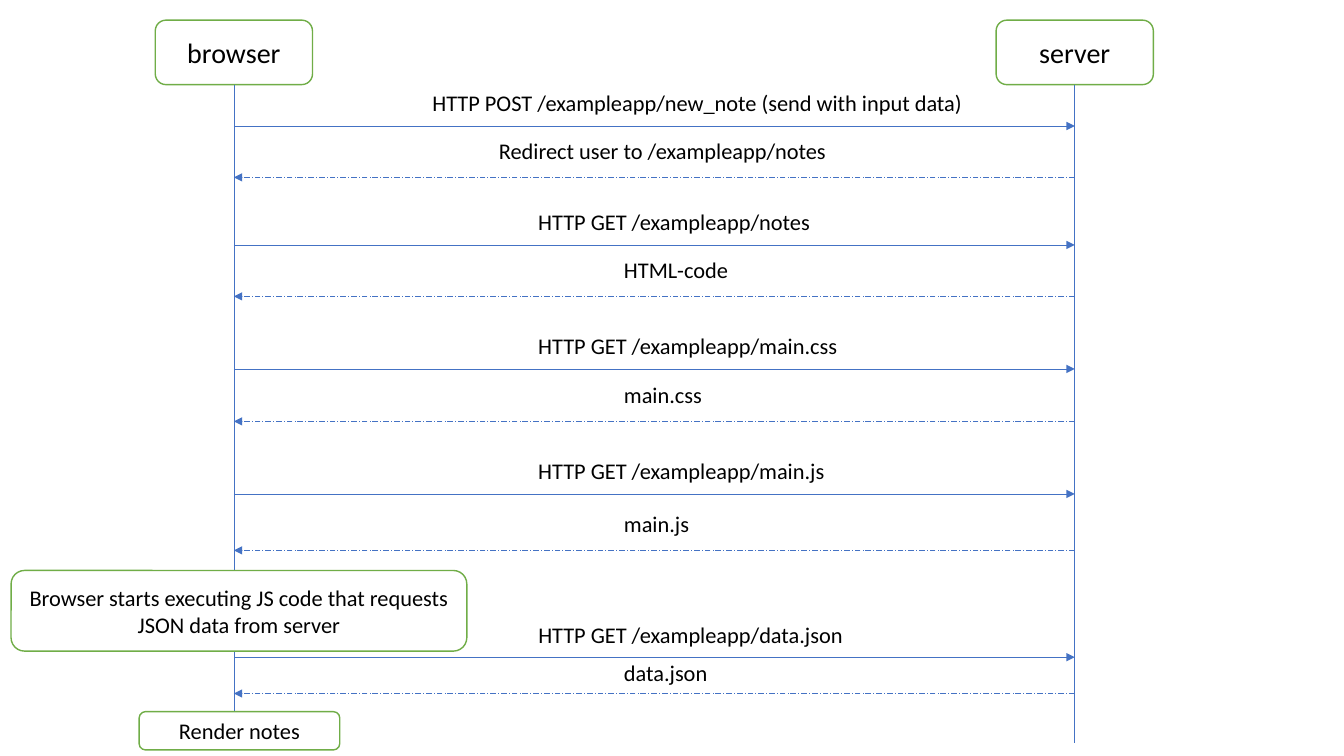
from collections import namedtuple

from lxml.etree import SubElement
from pptx import Presentation
from pptx.dml.color import RGBColor
from pptx.enum.dml import MSO_LINE
from pptx.enum.shapes import MSO_CONNECTOR, MSO_SHAPE
from pptx.enum.text import MSO_ANCHOR, MSO_AUTO_SIZE, PP_ALIGN
from pptx.oxml.ns import qn
from pptx.util import Inches, Pt

COLORS = {"box": "FFFFFF", "border": "70AD47", "line": "4472C4", "text": "000000"}
FONT = "Calibri"
CELLS_PER_INCH = 10
LABEL_HEIGHT = 3.7
REQUEST_RISE = 4.1
REPLY_RISE = 4.5

Box = namedtuple("Box", "left top width height")
Label = namedtuple("Label", "text indent width rise")

BROWSER = Box(15.4, 2, 15.6, 6.4)
SERVER = Box(98.8, 2, 15.6, 6.4)
SCRIPT_START = Box(1.1, 56.6, 45.2, 8)
RENDERING = Box(13.8, 70.6, 19.9, 3.8)
SERVER_END = 73.7

EXCHANGES = [
    (12.5, 5.1,
     Label("HTTP POST /exampleapp/new_note (send with input data)", 18.7, 55.2, REQUEST_RISE),
     Label("Redirect user to /exampleapp/notes", 25.3, 34.9, REPLY_RISE)),
    (24.3, 5.1,
     Label("HTTP GET /exampleapp/notes", 29.2, 29.3, REQUEST_RISE),
     Label("HTML-code", 37.7, 12.5, REPLY_RISE)),
    (36.6, 5.2,
     Label("HTTP GET /exampleapp/main.css", 29.2, 32, REQUEST_RISE),
     Label("main.css", 37.7, 9.8, REPLY_RISE)),
    (49, 5.6,
     Label("HTTP GET /exampleapp/main.js", 29.2, 30.7, REQUEST_RISE),
     Label("main.js", 37.7, 8.5, REPLY_RISE)),
    (65.2, 3.6,
     Label("HTTP GET /exampleapp/data.json", 29.2, 32.5, REQUEST_RISE),
     Label("data.json", 37.7, 10.4, 3.9)),
]


def grid(cells):
    return Inches(cells / CELLS_PER_INCH)


def color(role):
    return RGBColor.from_string(COLORS[role])


def write(frame, text, size):
    frame.text = text
    font = frame.paragraphs[0].runs[0].font
    font.name = FONT
    font.size = Pt(size)
    font.color.rgb = color("text")


def add_step(slide, box, text, size):
    step = slide.shapes.add_shape(MSO_SHAPE.ROUNDED_RECTANGLE, *map(grid, box))
    step.shadow.inherit = False
    step.fill.solid()
    step.fill.fore_color.rgb = color("box")
    step.line.color.rgb = color("border")
    step.line.width = Pt(1)
    step.text_frame.word_wrap = True
    step.text_frame.vertical_anchor = MSO_ANCHOR.MIDDLE
    write(step.text_frame, text, size)
    step.text_frame.paragraphs[0].alignment = PP_ALIGN.CENTER
    return step


def add_line(slide, start, end):
    line = slide.shapes.add_connector(
        MSO_CONNECTOR.STRAIGHT, *map(grid, start + end))
    line.line.color.rgb = color("line")
    line.line.width = Pt(0.5)
    SubElement(line._element.spPr, qn("a:effectLst"))
    return line


def add_participant(slide, box, name, lifeline_end):
    participant = add_step(slide, box, name, 20)
    center = box.left + box.width / 2
    lifeline = add_line(slide, (center, box.top + box.height), (center, lifeline_end))
    lifeline.begin_connect(participant, 2)


def add_message(slide, start, end, label):
    arrow = add_line(slide, start, end)
    SubElement(arrow.line._get_or_add_ln(), qn("a:tailEnd"), type="triangle")
    left, y = min(start, end)
    caption = slide.shapes.add_textbox(
        grid(left + label.indent), grid(y - label.rise),
        grid(label.width), grid(LABEL_HEIGHT))
    caption.text_frame.word_wrap = False
    caption.text_frame.auto_size = MSO_AUTO_SIZE.SHAPE_TO_FIT_TEXT
    write(caption.text_frame, label.text, 16)
    return arrow


def add_exchange(slide, box, request, reply):
    right, bottom = box.left + box.width, box.top + box.height
    add_message(slide, (box.left, box.top), (right, box.top), request)
    answer = add_message(slide, (right, bottom), (box.left, bottom), reply)
    answer.line.dash_style = MSO_LINE.LONG_DASH_DOT


def add_sequence(slide):
    add_participant(slide, BROWSER, "browser", RENDERING.top)
    add_participant(slide, SERVER, "server", SERVER_END)
    left = BROWSER.left + BROWSER.width / 2
    distance = SERVER.left - BROWSER.left
    for top, height, request, reply in EXCHANGES:
        add_exchange(slide, Box(left, top, distance, height), request, reply)
    add_step(slide, SCRIPT_START,
             "Browser starts executing JS code that requests JSON data from server", 16)
    add_step(slide, RENDERING, "Render notes", 16)


def main():
    presentation = Presentation()
    presentation.slide_width = Inches(13.33)
    presentation.slide_height = Inches(7.5)
    slide = presentation.slides.add_slide(presentation.slide_layouts[6])
    add_sequence(slide)
    presentation.save("out.pptx")


if __name__ == "__main__":
    main()
